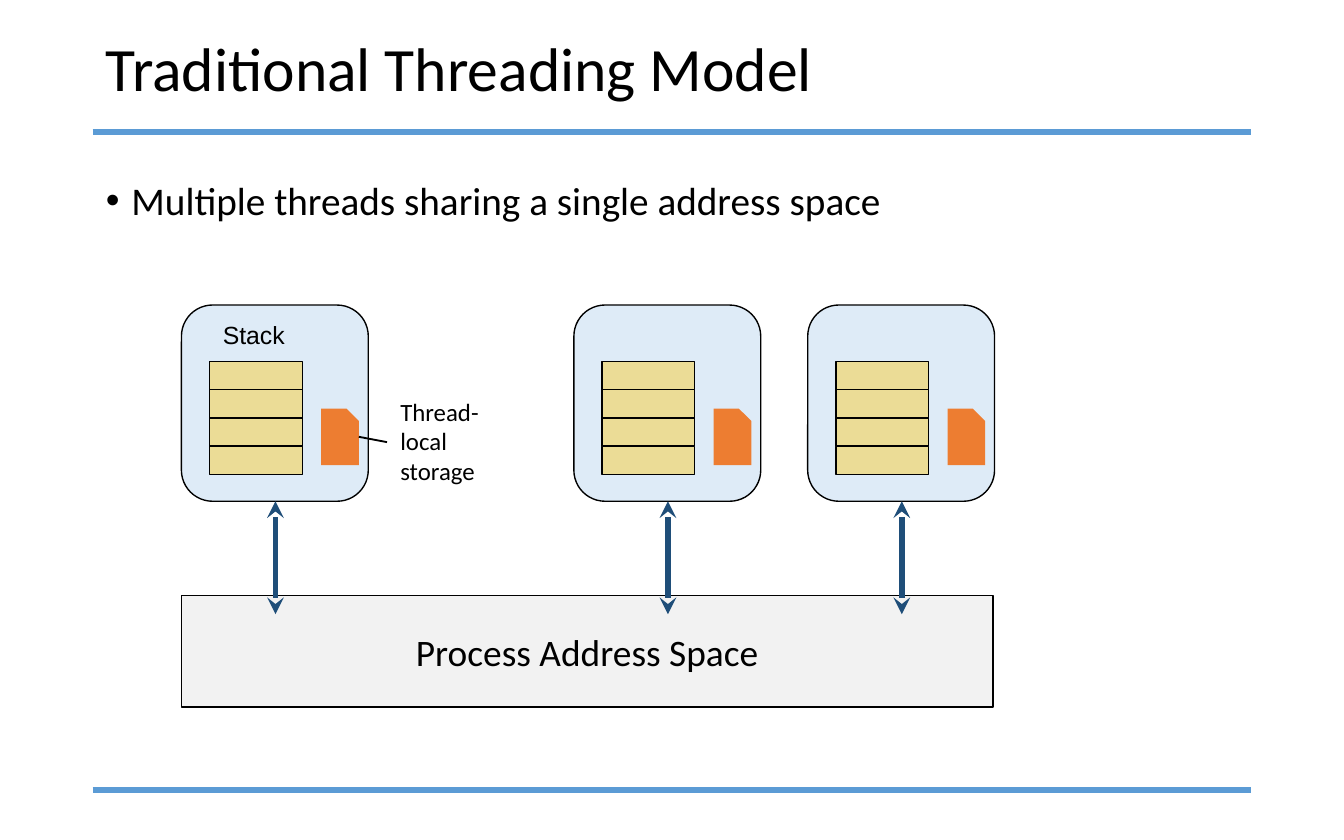
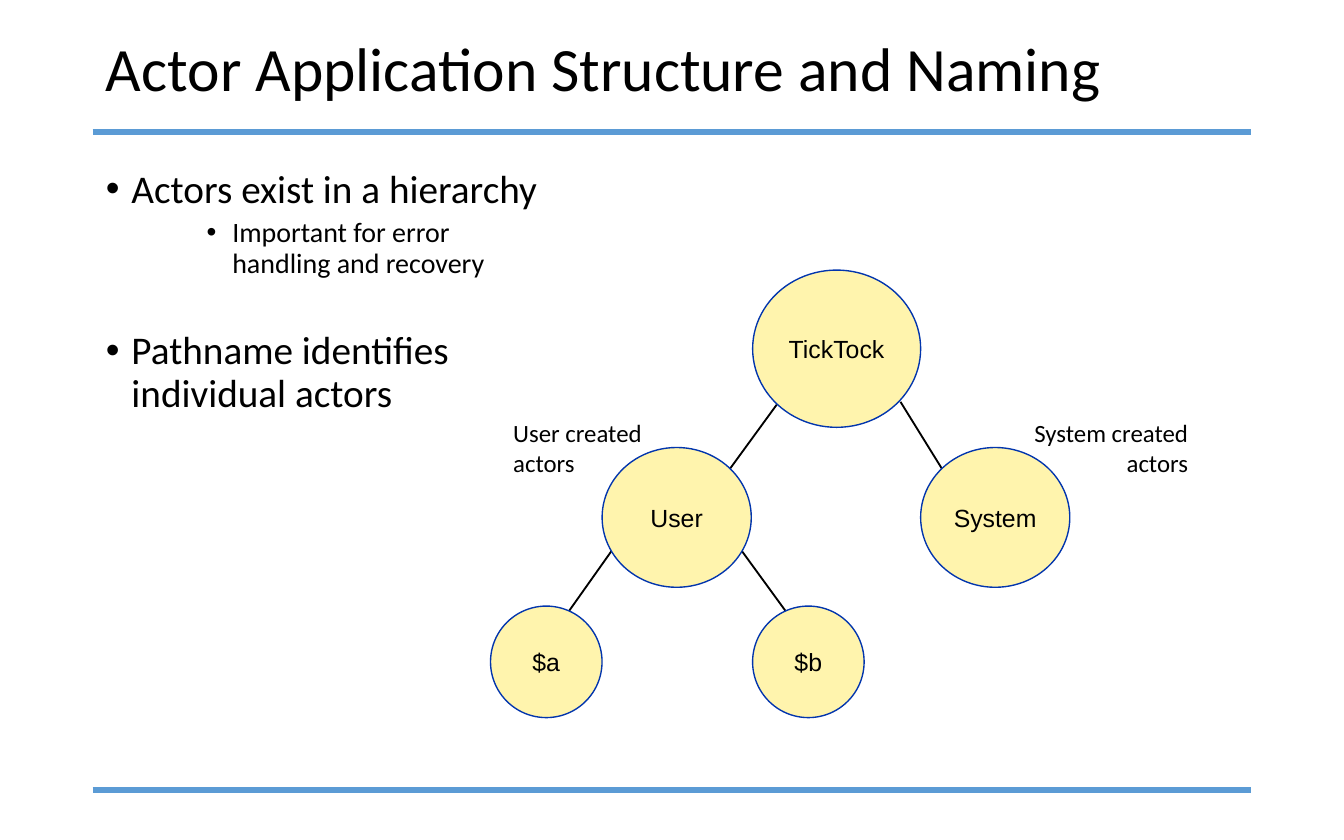
from lxml import etree
from pptx import Presentation
from pptx.dml.color import RGBColor
from pptx.enum import shapes, text
from pptx.oxml import ns
from pptx.util import Inches, Pt

COLORS = {
    "rule": "5B9BD5", "ink": "000000", "thread": "DEEBF7", "stack": "EBDC96",
    "storage": "ED7D31", "process": "F2F2F2", "arrow": "1F4E79",
    "actor": "FFF4AD", "actor_edge": "0235AD",
}
SHAPE = shapes.MSO_SHAPE
ALIGN = text.PP_ALIGN
ANCHOR = text.MSO_ANCHOR


def add_block(slide, kind, box, words="", size=13.3, font="Calibri", align=ALIGN.LEFT,
              anchor=ANCHOR.TOP, fill=None, edge=None, wrap=True):
    """Add a preset shape, or a text box when kind is None."""
    place = [Inches(v) for v in box]
    if kind is None:
        block = slide.shapes.add_textbox(*place)
    else:
        block = slide.shapes.add_shape(kind, *place)
        block.shadow.inherit = False
        block.fill.solid()
        block.fill.fore_color.rgb = RGBColor.from_string(COLORS[fill])
        if edge:
            block.line.color.rgb = RGBColor.from_string(COLORS[edge])
            block.line.width = Pt(0.75)
        else:
            block.line.fill.background()
    frame = block.text_frame
    frame.word_wrap = wrap
    frame.vertical_anchor = anchor
    if kind is not None:
        frame.margin_left = frame.margin_right = Inches(0.08)
        frame.margin_top = frame.margin_bottom = Inches(0.04)
    if words:
        paragraph = frame.paragraphs[0]
        paragraph.text = words
        paragraph.alignment = align
        for run in paragraph.runs:
            run.font.size = Pt(size)
            run.font.name = font
            run.font.color.rgb = RGBColor.from_string(COLORS["ink"])
    return block


def add_line(slide, start, end, color="ink", width=1, arrows=False):
    line = slide.shapes.add_connector(
        shapes.MSO_CONNECTOR.STRAIGHT, *[Inches(v) for v in (*start, *end)])
    line.line.color.rgb = RGBColor.from_string(COLORS[color])
    line.line.width = Pt(width)
    properties = line._element.spPr
    if arrows:
        for tip in ("a:headEnd", "a:tailEnd"):
            etree.SubElement(properties.find(ns.qn("a:ln")), ns.qn(tip), type="stealth")
    etree.SubElement(properties, ns.qn("a:effectLst"))


deck = Presentation()
deck.slide_width, deck.slide_height = Inches(10), Inches(6.25)

# Shared frame: title, rules and bullets (words, level, space before)
pages = [
    ("Traditional Threading Model", (0.69, 1.3, 7.64, 0.56),
     [("Multiple threads sharing a single address space", 0, 7.5)]),
    ("Actor Application Structure and Naming", (0.69, 1.21, 7.64, 3.17),
     [("Actors exist in a hierarchy", 0, 7.5),
      ("Important for error\nhandling and recovery", 1, 3.8),
      ("Pathname identifies\nindividual actors", 0, 27.8)]),
]
level_sizes = (21, 15)
level_indents = (0.19, 0.94)

for title, body_box, bullets in pages:
    slide = deck.slides.add_slide(deck.slide_layouts[6])
    for y in (0.98, 5.88):
        add_line(slide, (0.69, y), (9.31, y), "rule", 3)
    heading = add_block(slide, None, (0.69, 0.18, 8.62, 0.7), title, 33, anchor=ANCHOR.MIDDLE)
    heading.text_frame.paragraphs[0].line_spacing = 0.9

    body = add_block(slide, None, body_box).text_frame
    for index, (words, level, space) in enumerate(bullets):
        paragraph = body.add_paragraph() if index else body.paragraphs[0]
        paragraph.text = words
        paragraph.level = level
        paragraph.line_spacing = 0.9
        paragraph.space_before = Pt(space)
        for run in paragraph.runs:
            run.font.size = Pt(level_sizes[level])
            run.font.name = "Calibri"
            run.font.color.rgb = RGBColor.from_string(COLORS["ink"])
        properties = paragraph._p.get_or_add_pPr()
        properties.set("marL", str(Inches(level_indents[level])))
        properties.set("indent", str(-Inches(0.19)))
        etree.SubElement(properties, ns.qn("a:buFont"), typeface="Arial")
        etree.SubElement(properties, ns.qn("a:buChar"), char="\u2022")

threading, actors = deck.slides

# Threads, each with a stack and thread-local storage
thread_lefts = (1.35, 4.27, 6.01)
for left in thread_lefts:
    label = "Stack" if left == thread_lefts[0] else ""
    thread = add_block(threading, SHAPE.ROUNDED_RECTANGLE, (left, 2.27, 1.39, 1.46), label,
                       font="Arial", fill="thread", edge="ink")
    if label:
        thread.text_frame.paragraphs[0]._p.get_or_add_pPr().set("marL", str(Inches(0.16)))
    for row in range(4):
        add_block(threading, SHAPE.RECTANGLE, (left + 0.21, 2.69 + 0.21 * row, 0.69, 0.21),
                  fill="stack", edge="ink")
    storage = add_block(threading, SHAPE.SNIP_1_RECTANGLE, (left + 1.04, 3.04, 0.28, 0.42),
                        fill="storage")
    storage.adjustments[0] = 0.33

add_block(threading, None, (2.88, 2.9, 0.79, 0.77), "Thread-\nlocal\nstorage", wrap=False)
add_line(threading, (2.88, 3.29), (2.67, 3.25))

# Shared address space and its links to the threads
add_block(threading, SHAPE.RECTANGLE, (1.35, 4.43, 6.04, 0.83), "Process Address Space", 20,
          align=ALIGN.CENTER, anchor=ANCHOR.MIDDLE, fill="process", edge="ink")
for left in thread_lefts:
    add_line(threading, (left + 0.7, 3.73), (left + 0.7, 4.57), "arrow", 3, arrows=True)

# Actor tree
branches = [
    ((5.78, 3.01), (5.43, 3.49)), ((6.7, 2.99), (7.01, 3.49)),
    ((4.55, 4.1), (4.21, 4.58)), ((5.52, 4.1), (5.87, 4.58)),
]
for parent, child in branches:
    add_line(actors, parent, child)

nodes = [
    ("TickTock", 5.6, 2.01, 1.25, 1.17),
    ("User", 4.48, 3.33, 1.11, 1.04), ("System", 6.85, 3.33, 1.11, 1.04),
    ("$a", 3.65, 4.51, 0.83, 0.83), ("$b", 5.6, 4.51, 0.83, 0.83),
]
for name, *box in nodes:
    add_block(actors, SHAPE.OVAL, box, name, font="Arial", align=ALIGN.CENTER,
              anchor=ANCHOR.MIDDLE, fill="actor", edge="actor_edge", wrap=False)

# Notes beside the tree
add_block(actors, None, (3.72, 3.06, 1.17, 0.55), "User created\nactors", wrap=False)
add_block(actors, None, (7.58, 3.06, 1.36, 0.55), "System created\nactors",
          align=ALIGN.RIGHT, wrap=False)

deck.save("out.pptx")
